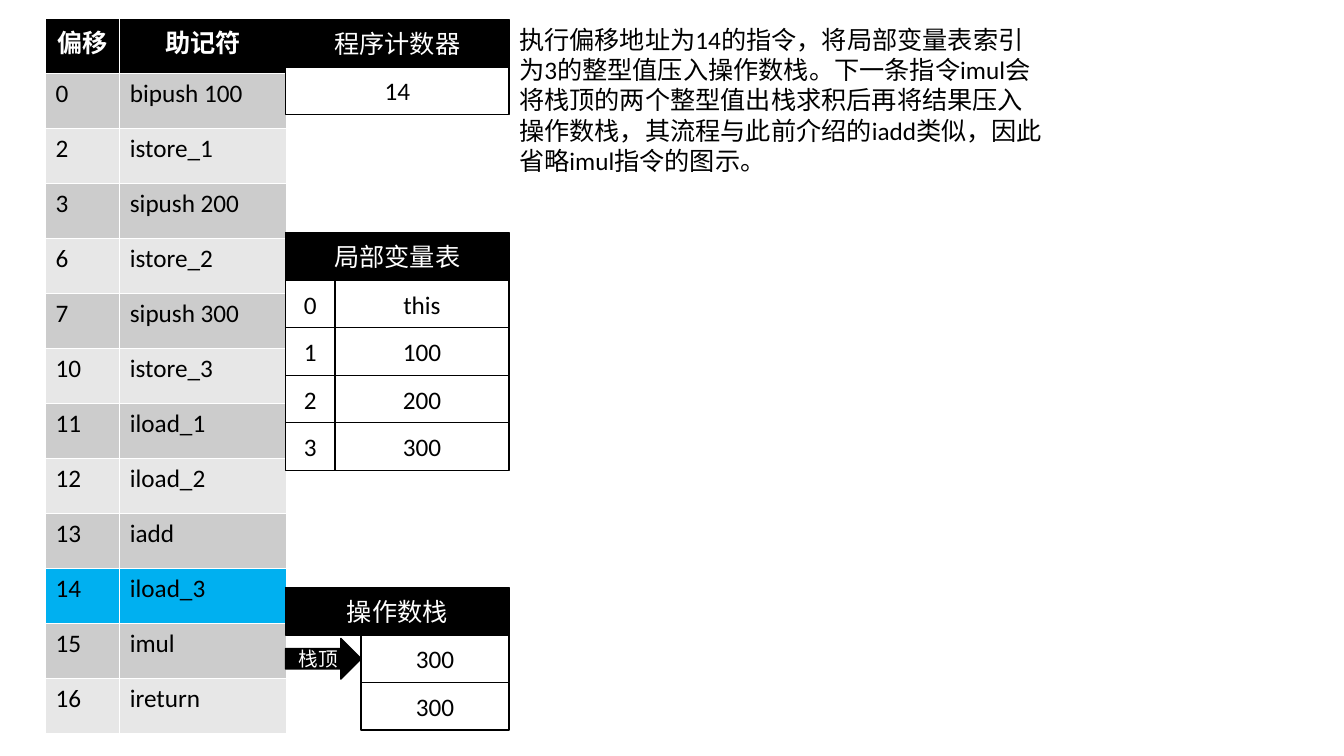
import dataclasses

import pptx
import pptx.dml.color
import pptx.enum.shapes
import pptx.enum.text
import pptx.util

Pt = pptx.util.Pt
RGB = pptx.dml.color.RGBColor.from_string
SHAPE = pptx.enum.shapes.MSO_SHAPE
ALIGN = pptx.enum.text.PP_ALIGN
MIDDLE = pptx.enum.text.MSO_ANCHOR.MIDDLE


@dataclasses.dataclass(frozen=True)
class Theme:
    font: str = "Calibri"
    body: int = 18
    small: int = 14
    black: str = "000000"
    white: str = "FFFFFF"
    bands: tuple = ("CCCCCC", "E7E7E7")
    current: str = "00B0F0"


THEME = Theme()

INSTRUCTIONS = [
    ("0", "bipush 100"), ("2", "istore_1"), ("3", "sipush 200"),
    ("6", "istore_2"), ("7", "sipush 300"), ("10", "istore_3"),
    ("11", "iload_1"), ("12", "iload_2"), ("13", "iadd"),
    ("14", "iload_3"), ("15", "imul"), ("16", "ireturn"),
]
COUNTER = "14"
LOCALS = ["this", "100", "200", "300"]
STACK = ["300", "300"]
EXPLANATION = (
    "执行偏移地址为14的指令，将局部变量表索引为3的整型值压入操作数栈。"
    "下一条指令imul会将栈顶的两个整型值出栈求积后再将结果压入操作数栈，"
    "其流程与此前介绍的iadd类似，因此省略imul指令的图示。"
)

PANEL_LEFT, PANEL_WIDTH, ROW = 203.9, 159.8, 33.95
PANEL_RIGHT = PANEL_LEFT + PANEL_WIDTH
INDEX_WIDTH = 35.3
ARROW_WIDTH, ARROW_HEIGHT = 54, 29


def write(tf, text, color, size=THEME.body, align=ALIGN.LEFT, bold=False):
    p = tf.paragraphs[0]
    p.alignment = align
    r = p.add_run()
    r.text = text
    for name, value in {"name": THEME.font, "size": Pt(size), "bold": bold}.items():
        setattr(r.font, name, value)
    r.font.color.rgb = RGB(color)


def add_box(group, place, text, dark=False, preset=SHAPE.RECTANGLE, size=THEME.body):
    sp = group.shapes.add_shape(preset, *map(Pt, place))
    sp.shadow.inherit = False
    sp.fill.solid()
    sp.fill.fore_color.rgb = RGB(THEME.black if dark else THEME.white)
    sp.line.color.rgb = RGB(THEME.black)
    sp.line.width = Pt(1)
    sp.text_frame.vertical_anchor = MIDDLE
    write(sp.text_frame, text, THEME.white if dark else THEME.black, size, ALIGN.CENTER)


def add_panel(s, top, title, values, indent=0):
    """Stack a dark heading over value boxes, which start at the indent."""
    group = s.shapes.add_group_shape()
    add_box(group, (PANEL_LEFT, top, PANEL_WIDTH, ROW), title, dark=True)
    left = PANEL_LEFT + indent
    for i, value in enumerate(values, 1):
        add_box(group, (left, top + i * ROW, PANEL_RIGHT - left, ROW), value)
    return group


def add_locals(s, top):
    group = add_panel(s, top, "局部变量表", LOCALS, INDEX_WIDTH)
    for i in range(len(LOCALS)):
        add_box(group, (PANEL_LEFT, top + (i + 1) * ROW, INDEX_WIDTH, ROW), str(i))


def add_stack(s, top):
    group = add_panel(s, top, "操作数栈", STACK, ARROW_WIDTH)
    arrow_top = top + ROW + (ROW - ARROW_HEIGHT) / 2
    add_box(group, (PANEL_LEFT, arrow_top, ARROW_WIDTH, ARROW_HEIGHT), "栈顶",
            dark=True, preset=SHAPE.RIGHT_ARROW, size=THEME.small)


def add_instructions(s):
    rows = [("偏移", "助记符")] + INSTRUCTIONS
    table = s.shapes.add_table(len(rows), 2, Pt(32.6), Pt(13.3), Pt(172), Pt(510.5)).table
    for column, width in zip(table.columns, (53, 119)):
        column.width = Pt(width)
    for i, row in enumerate(rows):
        header = i == 0
        if header:
            fill = THEME.black
        elif row[0] == COUNTER:
            fill = THEME.current
        else:
            fill = THEME.bands[(i - 1) % 2]
        for j, text in enumerate(row):
            cell = table.cell(i, j)
            cell.fill.solid()
            cell.fill.fore_color.rgb = RGB(fill)
            write(cell.text_frame, text, THEME.white if header else THEME.black,
                  align=ALIGN.CENTER if header else ALIGN.LEFT, bold=header)


def add_explanation(s):
    tf = s.shapes.add_textbox(Pt(PANEL_RIGHT), Pt(13.7), Pt(390), Pt(116.6)).text_frame
    tf.word_wrap = True
    tf.auto_size = pptx.enum.text.MSO_AUTO_SIZE.SHAPE_TO_FIT_TEXT
    write(tf, EXPLANATION, THEME.black)


def main():
    prs = pptx.Presentation()
    prs.slide_width, prs.slide_height = Pt(960), Pt(540)
    s = prs.slides.add_slide(prs.slide_layouts.get_by_name("Blank"))
    add_instructions(s)
    add_locals(s, 166.2)
    add_panel(s, 13.9, "程序计数器", [COUNTER])
    add_stack(s, 419.6)
    add_explanation(s)
    prs.save("out.pptx")


if __name__ == "__main__":
    main()
